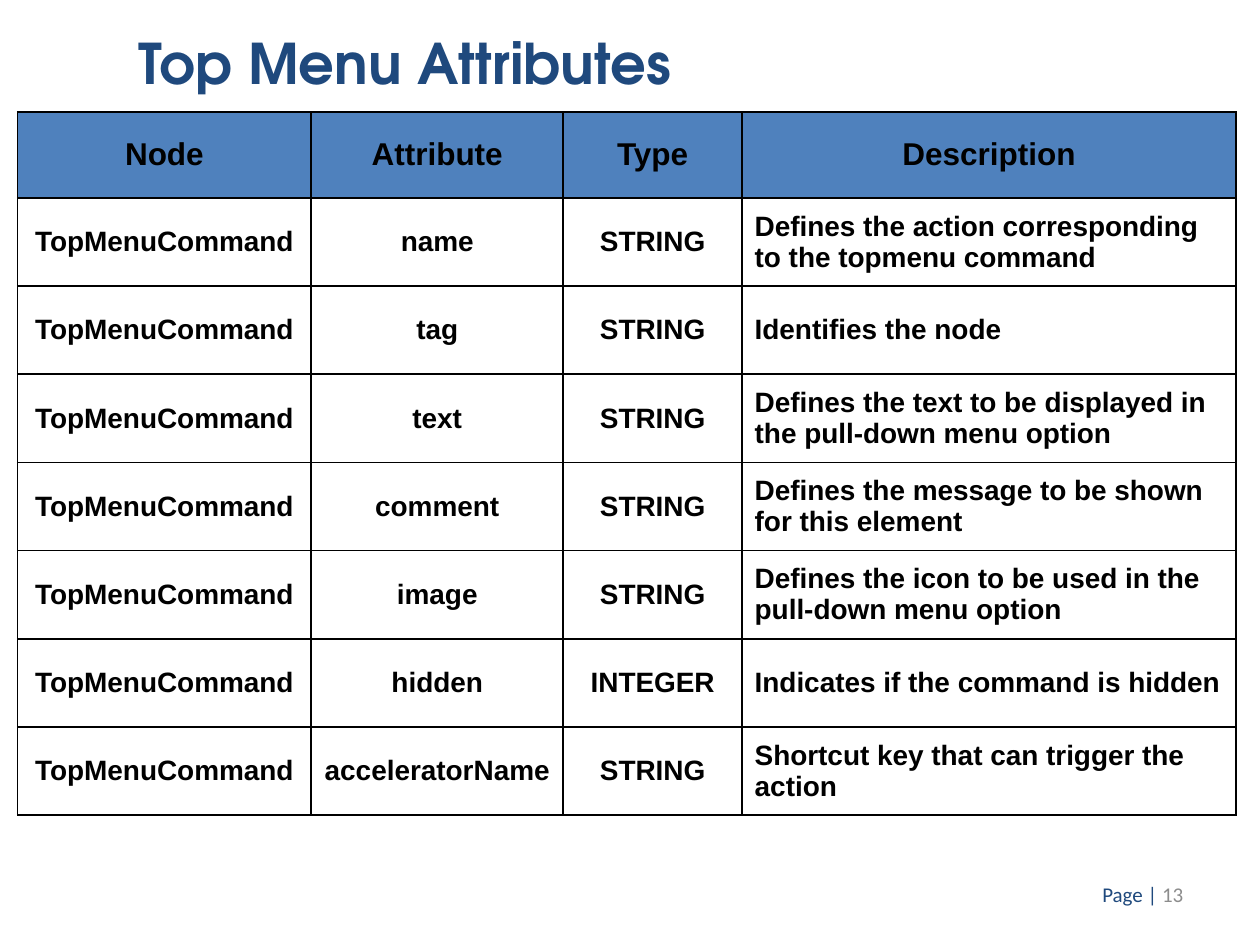
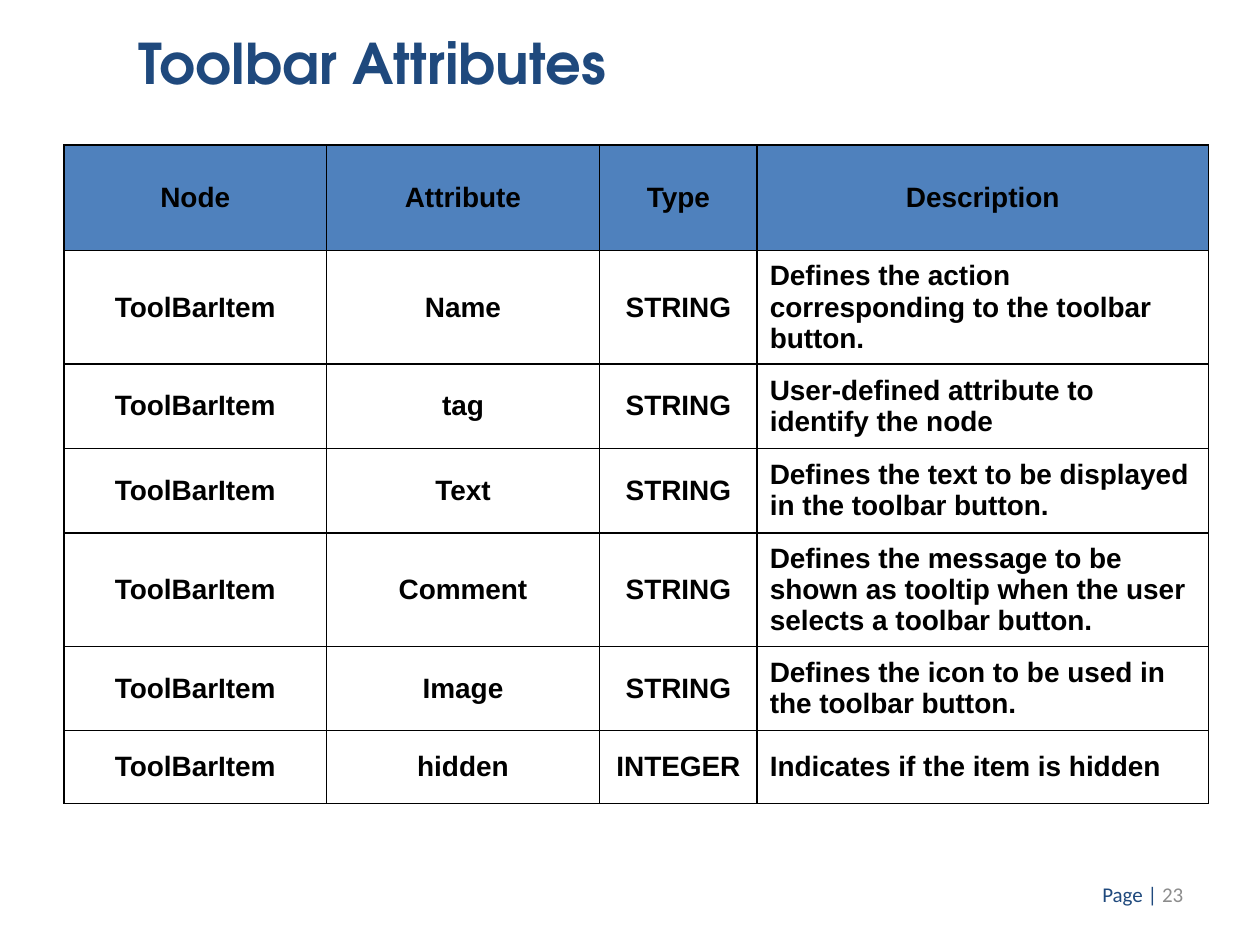
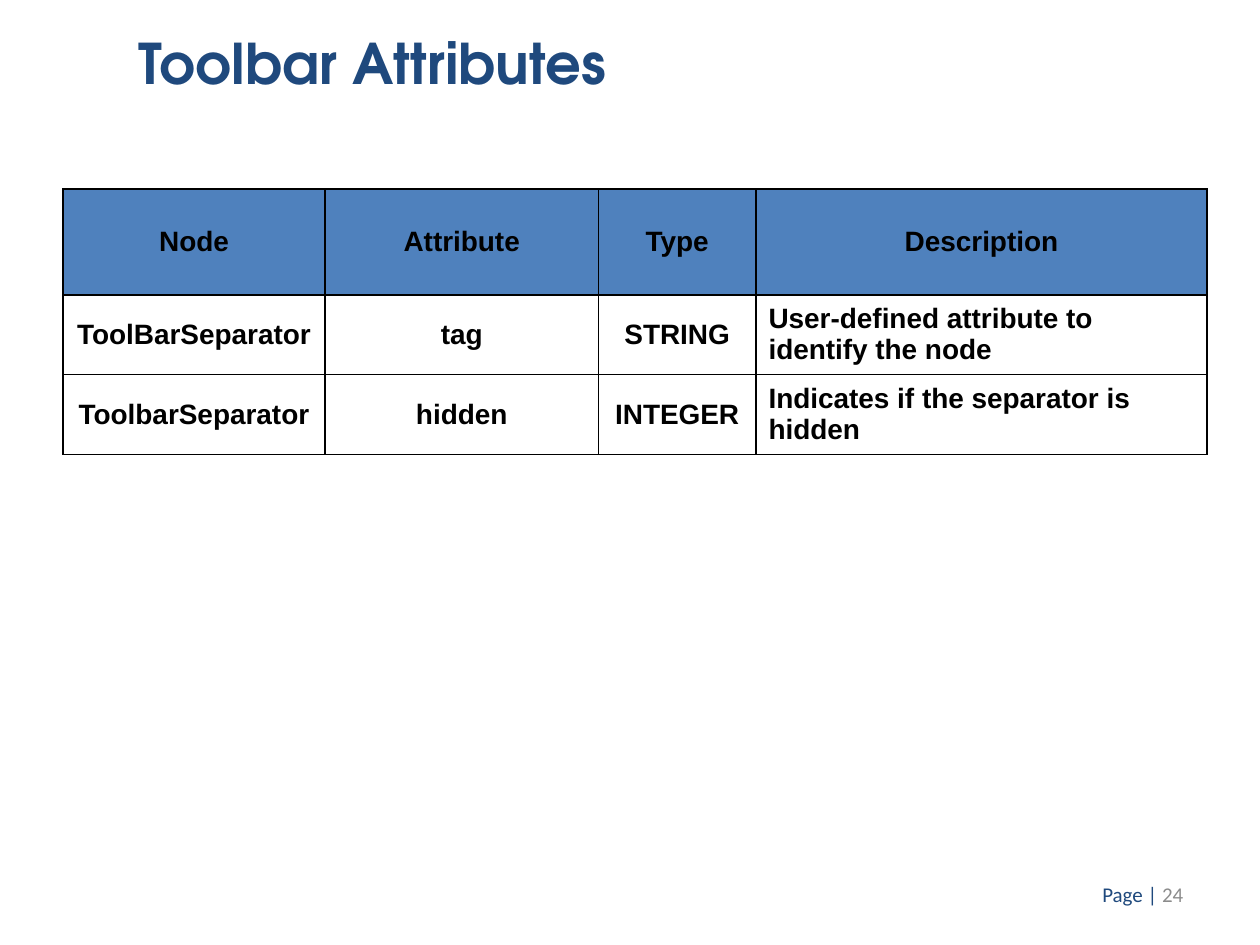
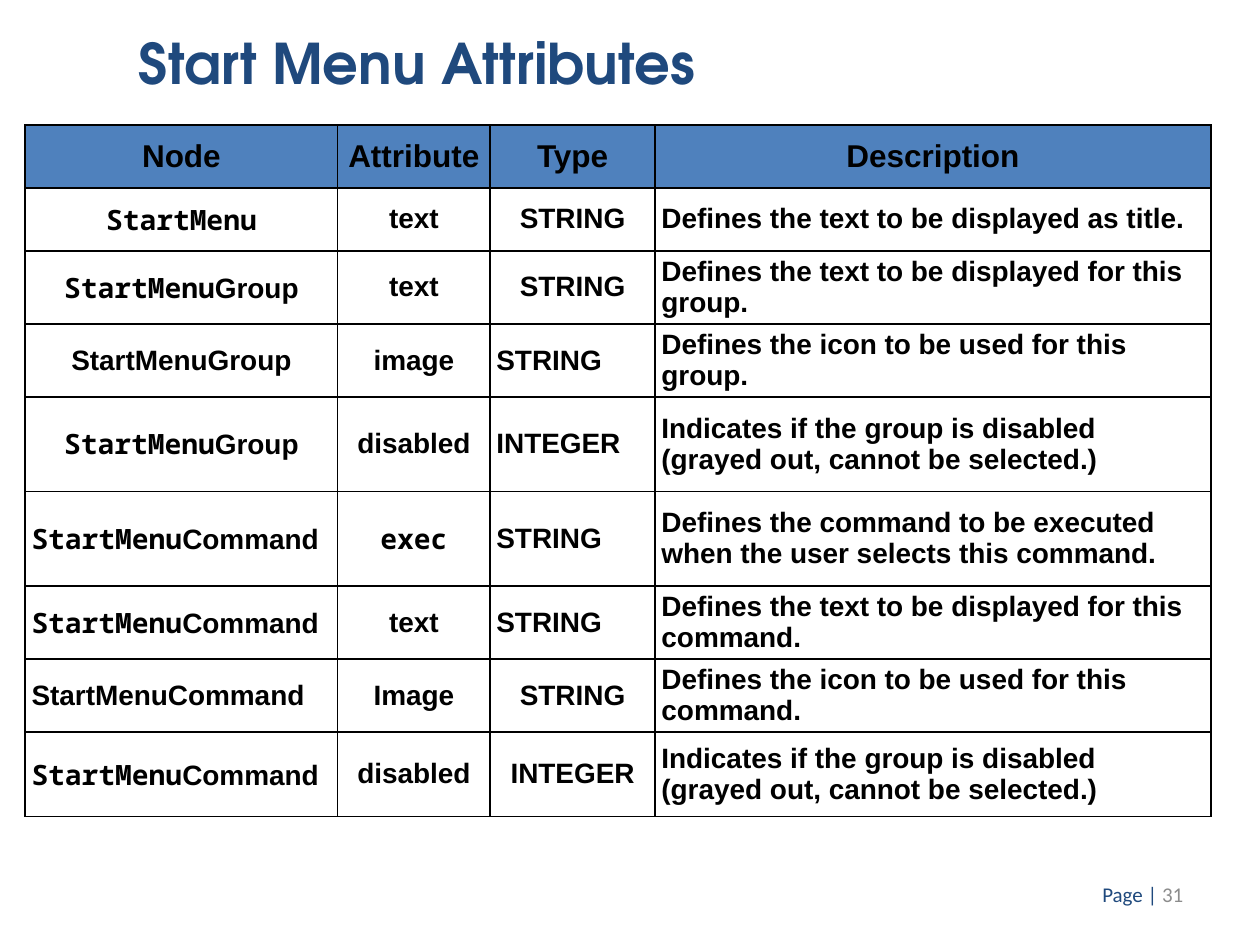
"""Builds four slides of menu and toolbar attribute tables."""
from itertools import product

from lxml.etree import SubElement
from pptx import Presentation
from pptx.dml.color import RGBColor
from pptx.enum.text import MSO_ANCHOR as Anchor, PP_ALIGN as Align
from pptx.oxml.ns import qn
from pptx.util import Inches, Pt

NAVY, BLUE, GRAY, WHITE, BLACK = "1F497D", "4F81BD", "8C8C8C", "FFFFFF", "000000"
BODY_FONT, MONO_FONT, TITLE_FONT, FOOTER_FONT = "Arial", "Noto Sans Mono", "TeX Gyre Adventor", "Calibri"
TITLE_BOX = (1, 0.18, 6.92, 0.9)
FOOTER_BOX = (7.16, 6.9, 2.33, 0.4)
HEADINGS = ("Node", "Attribute", "Type", "Description")
DESCRIPTION = HEADINGS.index("Description")
TOOLBAR_COLUMNS = (2.08, 2.17, 1.25, 3.58)

# `left` and `tight` hold (row, column) cells; text between backticks is monospaced.
SLIDES = [
    dict(
        title="Top Menu Attributes", page=13, corner=(0.14, 0.89), heading_size=18,
        columns=(2.33, 2, 1.42, 3.92), heights=[0.68] + [0.7] * 7,
        tight=set(product(range(2, 8), [0])),
        rows=[
            ("TopMenuCommand", "name", "STRING", "Defines the action corresponding to the topmenu command"),
            ("TopMenuCommand", "tag", "STRING", "Identifies the node"),
            ("TopMenuCommand", "text", "STRING", "Defines the text to be displayed in the pull-down menu option"),
            ("TopMenuCommand", "comment", "STRING", "Defines the message to be shown for this element"),
            ("TopMenuCommand", "image", "STRING", "Defines the icon to be used in the pull-down menu option"),
            ("TopMenuCommand", "hidden", "INTEGER", "Indicates if the command is hidden"),
            ("TopMenuCommand", "acceleratorName", "STRING", "Shortcut key that can trigger the action"),
        ],
    ),
    dict(
        title="Toolbar Attributes", page=23, corner=(0.51, 1.15), heading_size=16,
        columns=TOOLBAR_COLUMNS, heights=[0.84, 0.67, 0.67, 0.67, 0.75, 0.67, 0.58],
        tight={(2, 2), (3, 2), (4, 1)},
        rows=[
            ("ToolBarItem", "Name", "STRING", "Defines the action corresponding to the toolbar button."),
            ("ToolBarItem", "tag", "STRING", "User-defined attribute to identify the node"),
            ("ToolBarItem", "Text", "STRING", "Defines the text to be displayed in the toolbar button."),
            ("ToolBarItem", "Comment", "STRING",
             "Defines the message to be shown as tooltip when the user selects a toolbar button."),
            ("ToolBarItem", "Image", "STRING", "Defines the icon to be used in the toolbar button."),
            ("ToolBarItem", "hidden", "INTEGER", "Indicates if the item is hidden"),
        ],
    ),
    dict(
        title="Toolbar Attributes", page=24, corner=(0.5, 1.5), heading_size=16,
        columns=TOOLBAR_COLUMNS, heights=[0.84, 0.58, 0.58],
        rows=[
            ("ToolBarSeparator", "tag", "STRING", "User-defined attribute to identify the node"),
            ("ToolbarSeparator", "hidden", "INTEGER", "Indicates if the separator is hidden"),
        ],
    ),
    dict(
        title="Start Menu Attributes", page=31, corner=(0.2, 0.99), heading_size=18,
        columns=(2.48, 1.21, 1.31, 4.41), heights=[0.5, 0.5, 0.58, 0.58, 0.75, 0.75, 0.58, 0.58, 0.67],
        insets=(0.05, 0),
        left=set(product(range(3, 7), [2])) | set(product(range(5, 9), [0])),
        tight={(3, 2), (4, 2), (5, 1)} | set(product(range(5, 9), [0])),
        rows=[
            ("`StartMenu`", "text", "STRING", "Defines the text to be displayed as title."),
            ("`StartMenu`Group", "text", "STRING", "Defines the text to be displayed for this group."),
            ("StartMenuGroup", "image", "STRING", "Defines the icon to be used for this group."),
            ("`StartMenu`Group", "disabled", "INTEGER",
             "Indicates if the group is disabled (grayed out, cannot be selected.)"),
            ("`StartMenu`Command", "`exec`", "STRING",
             "Defines the command to be executed when the user selects this command."),
            ("`StartMenu`Command", "text", "STRING", "Defines the text to be displayed for this command."),
            ("StartMenuCommand", "Image", "STRING", "Defines the icon to be used for this command."),
            ("`StartMenu`Command", "disabled", "INTEGER",
             "Indicates if the group is disabled (grayed out, cannot be selected.)"),
        ],
    ),
]


def color(code):
    return RGBColor.from_string(code)


def write(frame, text, size, font=BODY_FONT, ink=BLACK, bold=False, align=Align.LEFT, before=0):
    """Append text to the frame's paragraph; `before` is a percentage of the line."""
    paragraph = frame.paragraphs[0]
    paragraph.alignment = align
    if before:
        spacing = SubElement(paragraph._p.get_or_add_pPr(), qn("a:spcBef"))
        SubElement(spacing, qn("a:spcPct"), val=str(before * 1000))
    for position, part in enumerate(text.split("`")):
        if part:
            run = paragraph.add_run()
            run.text = part
            run.font.name = MONO_FONT if position % 2 else font
            run.font.size = Pt(size)
            run.font.bold = bold
            run.font.color.rgb = color(ink)


def add_frame(slide, box, anchor):
    frame = slide.shapes.add_textbox(*map(Inches, box)).text_frame
    frame.word_wrap = True
    frame.vertical_anchor = anchor
    return frame


def add_borders(cell):
    properties = cell._tc.get_or_add_tcPr()
    for index, side in enumerate(("lnL", "lnR", "lnT", "lnB")):
        line = SubElement(properties, qn("a:" + side), w=str(Pt(1)))
        SubElement(SubElement(line, qn("a:solidFill")), qn("a:srgbClr"), val=BLACK)
        properties.insert(index, line)


def add_attributes(slide, corner, columns, heights, rows, heading_size,
                   insets=(0.1, 0.05), left=(), tight=()):
    grid = [HEADINGS, *rows]
    box = (*corner, sum(columns), sum(heights))
    table = slide.shapes.add_table(len(grid), len(columns), *map(Inches, box)).table
    table.first_row = table.horz_banding = False
    for column, width in zip(table.columns, columns):
        column.width = Inches(width)
    for row, height in zip(table.rows, heights):
        row.height = Inches(height)
    for r, c in product(range(len(grid)), range(len(columns))):
        cell = table.cell(r, c)
        cell.margin_left = cell.margin_right = Inches(insets[0])
        cell.margin_top = cell.margin_bottom = Inches(insets[1])
        cell.vertical_anchor = Anchor.MIDDLE
        cell.fill.solid()
        cell.fill.fore_color.rgb = color(WHITE if r else BLUE)
        add_borders(cell)
        is_left = (r and c == DESCRIPTION) or (r, c) in left
        write(cell.text_frame, grid[r][c], 16 if r else heading_size, bold=True,
              align=Align.LEFT if is_left else Align.CENTER,
              before=0 if (r, c) in tight else 20)


def add_slide(deck, title, page, **attributes):
    slide = deck.slides.add_slide(deck.slide_layouts[6])
    footer = add_frame(slide, FOOTER_BOX, Anchor.MIDDLE)
    for text, ink in (("Page | ", NAVY), (str(page), GRAY)):
        write(footer, text, 12, font=FOOTER_FONT, ink=ink, align=Align.RIGHT)
    add_attributes(slide, **attributes)
    write(add_frame(slide, TITLE_BOX, Anchor.TOP), title, 32,
          font=TITLE_FONT, ink=NAVY, bold=True, before=50)


def main():
    deck = Presentation()
    deck.slide_width, deck.slide_height = Inches(10), Inches(7.5)
    for content in SLIDES:
        add_slide(deck, **content)
    deck.save("out.pptx")


if __name__ == "__main__":
    main()
